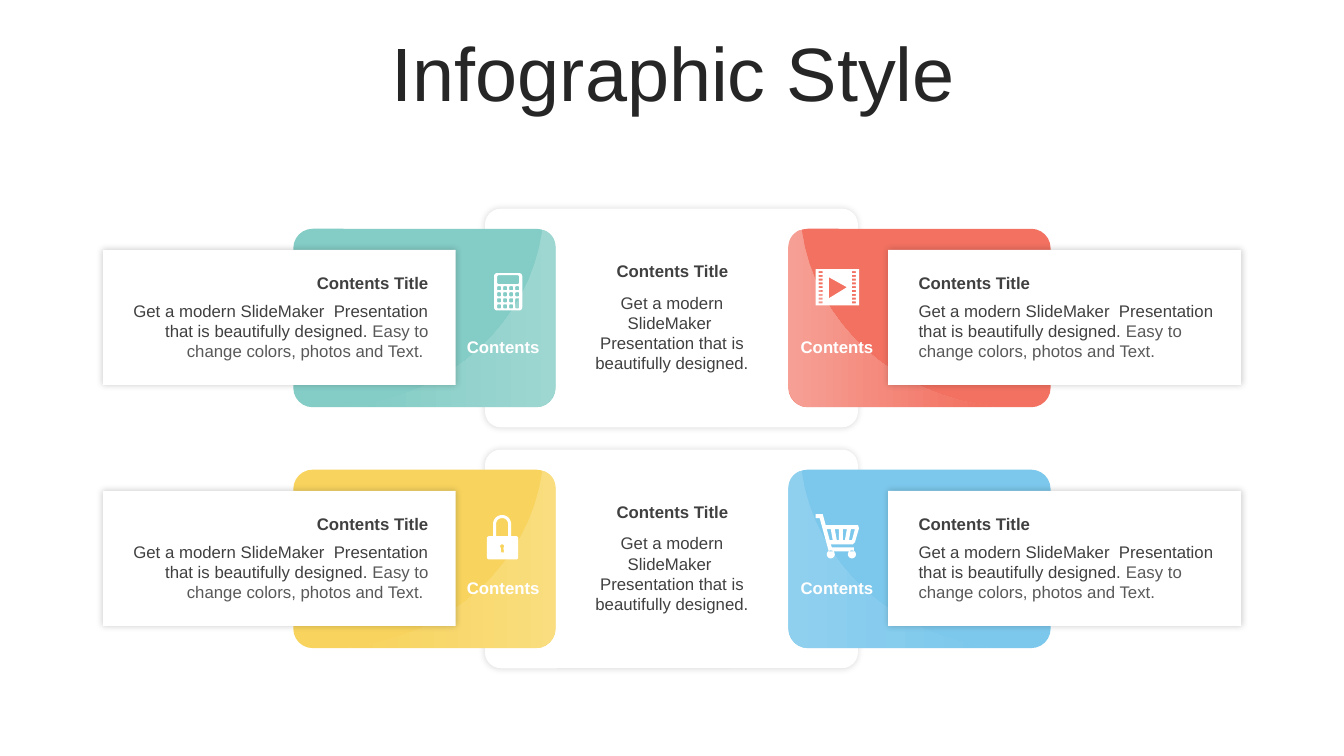
from math import cos, pi, sin

from lxml import etree
from pptx import Presentation
from pptx.dml.color import RGBColor
from pptx.enum.shapes import MSO_SHAPE
from pptx.enum.text import MSO_ANCHOR, MSO_AUTO_SIZE, PP_ALIGN
from pptx.oxml.ns import qn
from pptx.util import Inches, Pt

RECT, ROUND = MSO_SHAPE.RECTANGLE, MSO_SHAPE.ROUNDED_RECTANGLE
LEFT, CENTER, RIGHT = PP_ALIGN.LEFT, PP_ALIGN.CENTER, PP_ALIGN.RIGHT
MIDDLE, TOP = MSO_ANCHOR.MIDDLE, MSO_ANCHOR.TOP
GROW, FIXED = MSO_AUTO_SIZE.SHAPE_TO_FIT_TEXT, MSO_AUTO_SIZE.NONE

COLORS = {
    "white": "FFFFFF", "shadow": "000000", "title": "262626",
    "text": "404040", "muted": "595959",
    "teal": "84CCC6", "teal_light": "9ED7D2",
    "red": "F27161", "red_light": "F6A095",
    "yellow": "F8D45E", "yellow_light": "F9DD7E",
    "blue": "7CC8EC", "blue_light": "90D0EF",
}
HEADING = "Contents Title"
INTRO = "Get a modern SlideMaker  Presentation that is beautifully designed. "
DETAIL = "Easy to change colors, photos and Text."
ROW_PITCH = 2.39
ROWS = [("teal", "red"), ("yellow", "blue")]


def color(name):
    return RGBColor.from_string(COLORS[name])


def curve(start, first, second, end, steps=16):
    points = []
    for step in range(steps + 1):
        t = step / steps
        weights = ((1 - t) ** 3, 3 * t * (1 - t) ** 2, 3 * t * t * (1 - t), t ** 3)
        pairs = list(zip(weights, (start, first, second, end)))
        points.append(tuple(sum(w * p[axis] for w, p in pairs) for axis in (0, 1)))
    return points


def arc(x, y, radius, begin, end, steps=16):
    angles = [(begin + (end - begin) * i / steps) * pi / 180 for i in range(steps + 1)]
    return [(x + radius * cos(a), y + radius * sin(a)) for a in angles]


def block(x, y, width, height, radius=0.0):
    if not radius:
        return [(x, y), (x + width, y), (x + width, y + height), (x, y + height)]
    near_x, far_x = x + radius, x + width - radius
    near_y, far_y = y + radius, y + height - radius
    corners = [(near_x, near_y), (far_x, near_y), (far_x, far_y), (near_x, far_y)]
    return [point for turn, (cx, cy) in enumerate(corners)
            for point in arc(cx, cy, radius, 180 + 90 * turn, 270 + 90 * turn, 6)]


def calculator():
    keys = [block(4.93 + 0.06 * column, 2.84 + 0.06 * row, 0.04, 0.04, 0.01)
            for row in range(4) for column in range(4) if column < 3 or row < 2]
    return [block(4.9, 2.71, 0.28, 0.37, 0.03), block(4.93, 2.73, 0.22, 0.09, 0.02),
            block(5.11, 2.96, 0.04, 0.1, 0.01)] + keys


def film():
    holes = [block(x, 2.69 + 0.3 / 8 * i, 0.04, 0.02) for x in (8.12, 8.45) for i in range(9)]
    return [block(8.09, 2.67, 0.43, 0.36), [(8.22, 2.75), (8.22, 2.96), (8.4, 2.85)]] + holes


def padlock():
    shackle = ([(4.89, 5.32)] + arc(4.98, 5.2, 0.09, 180, 360)
               + [(5.07, 5.32), (5.04, 5.32)] + arc(4.98, 5.2, 0.06, 360, 180) + [(4.92, 5.32)])
    keyhole = arc(4.98, 5.42, 0.02, 130, 410) + [(5, 5.48), (4.97, 5.48)]
    return [block(4.83, 5.32, 0.31, 0.23, 0.02), shackle, keyhole]


def cart():
    frame = [(8.09, 5.1), (8.15, 5.1), (8.16, 5.1), (8.19, 5.21), (8.51, 5.21), (8.52, 5.24),
             (8.48, 5.38), (8.46, 5.4), (8.24, 5.4), (8.25, 5.43), (8.47, 5.43), (8.47, 5.47),
             (8.22, 5.47), (8.13, 5.14), (8.09, 5.14)]
    slots = [[(8.44, 5.25), (8.42, 5.36), (8.45, 5.36), (8.48, 5.25)],
             [(8.36, 5.25), (8.36, 5.36), (8.38, 5.36), (8.4, 5.25)],
             [(8.28, 5.25), (8.3, 5.36), (8.32, 5.36), (8.32, 5.25)],
             [(8.2, 5.25), (8.23, 5.36), (8.26, 5.36), (8.24, 5.25)]]
    wheels = [arc(x, 5.5, 0.04, 0, 360) for x in (8.24, 8.45)]
    return [frame] + slots + wheels[:0] + [w for w in wheels]


class Page:
    """Draws styled elements on the current slide."""

    def __init__(self, slide, font="Arial", size=12):
        self.shapes, self.font, self.size = slide.shapes, font, size

    def panel(self, kind, x, y, width, height, fill="white", corner=None, shadow=None):
        shape = self.shapes.add_shape(kind, Inches(x), Inches(y), Inches(width), Inches(height))
        shape.shadow.inherit = False
        shape.fill.solid()
        shape.fill.fore_color.rgb = color(fill)
        shape.line.fill.background()
        if corner:
            shape.adjustments[0] = corner
        if shadow:
            effects = shape.element.spPr.find(qn("a:effectLst"))
            outer = etree.SubElement(effects, qn("a:outerShdw"), blurRad=str(Pt(5)), dist="0",
                                     algn="ctr", rotWithShape="0")
            tone = etree.SubElement(outer, qn("a:srgbClr"), val=COLORS["shadow"])
            etree.SubElement(tone, qn("a:alpha"), val=str(shadow * 1000))

    def outline(self, contours, fill="white", light=None, angle=0):
        contours = [[(Inches(x), Inches(y)) for x, y in contour] for contour in contours]
        builder = self.shapes.build_freeform(*contours[0][0])
        for index, contour in enumerate(contours):
            if index:
                builder.move_to(*contour[0])
            builder.add_line_segments(contour[1:], close=True)
        shape = builder.convert_to_shape()
        shape.shadow.inherit = False
        shape.line.fill.background()
        if not light:
            shape.fill.solid()
            shape.fill.fore_color.rgb = color(fill)
            return
        shape.fill.gradient()
        shape.fill.gradient_angle = angle
        for stop, name, position in zip(shape.fill.gradient_stops, (light, fill), (0, 0.94)):
            stop.color.rgb = color(name)
            stop.position = position

    def text(self, spans, x, y, width, height, align=LEFT, bold=False, size=None,
             anchor=TOP, fit=GROW, spacing=None):
        box = self.shapes.add_textbox(Inches(x), Inches(y), Inches(width), Inches(height))
        frame = box.text_frame
        frame.word_wrap, frame.auto_size, frame.vertical_anchor = True, fit, anchor
        frame.margin_left = frame.margin_right = Inches(0.12)
        frame.margin_top = frame.margin_bottom = Inches(0.05)
        para = frame.paragraphs[0]
        para.alignment, para.line_spacing = align, spacing
        for words, tone in spans:
            span = para.add_run()
            span.text = words
            span.font.name, span.font.size = self.font, Pt(size or self.size)
            span.font.bold, span.font.color.rgb = bold, color(tone)

    def card(self, x, y, fill, edge, inward):
        self.panel(ROUND, x, y, 2.6, 1.77, fill, corner=0.108)
        shape = (curve((0.13, 0.01), (0.05, 0.03), (0, 0.1), (0, 0.18))
                 + curve((0, 1.57), (0, 1.68), (0.09, 1.77), (0.2, 1.77))
                 + curve((2.05, 1.77), (1.05, 1.66), (0.25, 0.93), (0.13, 0.01)))
        self.outline([[(edge + inward * dx, y + dy) for dx, dy in shape]], fill,
                     light=fill + "_light", angle=180 if inward < 0 else 0)

    def row(self, y, left, right):
        self.panel(ROUND, 4.81, y, 3.7, 2.17, corner=0.073, shadow=14)
        self.card(2.91, y + 0.2, left, 5.51, -1)
        self.card(7.82, y + 0.2, right, 7.82, 1)
        for panel_x, text_x, width, label_x, align, tail in (
                (1.02, 1.17, 3.2, 4.51, RIGHT, " "), (8.81, 8.99, 3.18, 7.82, LEFT, "")):
            self.panel(RECT, panel_x, y + 0.41, 3.5, 1.34, shadow=22)
            self.text([(HEADING, "text")], text_x, y + 0.59, width, 0.3, align, bold=True)
            self.text([(INTRO, "text"), (DETAIL + tail, "muted")],
                      text_x, y + 0.86, width, 0.71, align)
            self.text([("Contents ", "white")], label_x, y + 1.22, 1.01, 0.3, CENTER, bold=True)
        self.text([(HEADING, "text")], 5.76, y + 0.47, 1.82, 0.3, CENTER, bold=True)
        self.text([(INTRO, "text")], 5.77, y + 0.78, 1.79, 0.91, CENTER)


def main():
    deck = Presentation()
    deck.slide_width, deck.slide_height = Inches(13.33), Inches(7.5)
    page = Page(deck.slides.add_slide(deck.slide_layouts[6]))
    page.text([("Infographic Style", "title")], 0.35, 0.37, 12.66, 0.79, CENTER, size=54,
              anchor=MIDDLE, fit=FIXED, spacing=0.9)
    for index, (left, right) in enumerate(ROWS):
        page.row(2.07 + ROW_PITCH * index, left, right)
    for icon in (calculator, film, padlock, cart):
        page.outline(icon())
    deck.save("out.pptx")


if __name__ == "__main__":
    main()
